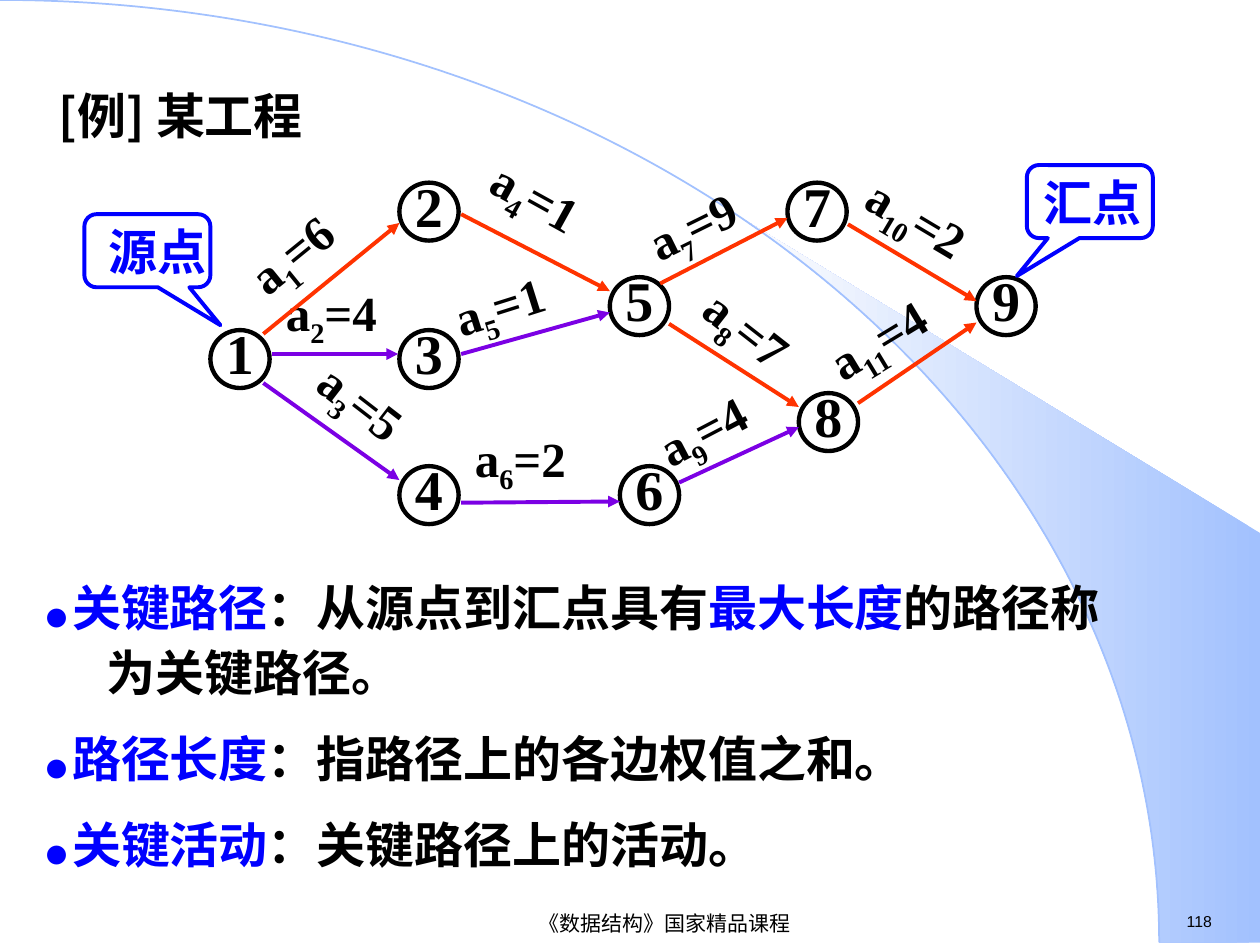
"""Build a slide on critical paths in an activity network."""
from math import asin, cos, pi, sin

from lxml.etree import SubElement
from pptx import Presentation
from pptx.dml.color import RGBColor
from pptx.enum.shapes import MSO_CONNECTOR, MSO_SHAPE
from pptx.enum.text import MSO_ANCHOR, PP_ALIGN
from pptx.oxml.ns import qn
from pptx.util import Inches, Pt

BLACK = RGBColor(0, 0, 0)
BLUE = RGBColor(0, 0, 255)
RED = RGBColor(255, 51, 0)
PURPLE = RGBColor(123, 0, 228)
PALE = RGBColor(162, 193, 254)
WHITE = RGBColor(254, 254, 254)
HAN = "Noto Sans CJK SC"
TIMES = "Times New Roman"

TITLE = "[例] 某工程"
TERMS = [
    [("关键路径", BLUE), ("：从源点到汇点具有", BLACK), ("最大长度", BLUE),
     ("的路径称为关键路径。", BLACK)],
    [("路径长度", BLUE), ("：指路径上的各边权值之和。", BLACK)],
    [("关键活动", BLUE), ("：关键路径上的活动。", BLACK)],
]
NODES = [
    ("1", 1.67, 2.62), ("2", 3.17, 1.45), ("3", 3.17, 2.62),
    ("4", 3.17, 3.7), ("5", 4.84, 2.2), ("6", 4.92, 3.7),
    ("7", 6.25, 1.45), ("8", 6.34, 3.12), ("9", 7.75, 2.2),
]
EDGES = [
    (2.09, 2.65, 3.17, 1.77, RED), (2.16, 2.81, 3.16, 2.81, PURPLE),
    (2.09, 3.04, 3.17, 3.81, PURPLE), (3.66, 1.7, 4.84, 2.31, RED),
    (3.66, 2.81, 4.84, 2.48, PURPLE), (3.66, 3.99, 4.92, 3.98, PURPLE),
    (5.24, 2.25, 6.25, 1.73, RED), (5.31, 2.57, 6.34, 3.23, RED),
    (5.39, 3.83, 6.34, 3.39, PURPLE), (6.73, 1.78, 7.75, 2.39, RED),
    (6.81, 3.2, 7.75, 2.56, RED),
]
COSTS = [
    (6, 1.84, 1.64, 1.17, -39.1), (4, 2.17, 2.19, 1.42, 0),
    (5, 2.34, 3.05, 1.42, 37.7), (1, 3.75, 1.39, 1.42, 28.9),
    (1, 3.5, 2.06, 1.42, -17.6), (2, 3.67, 3.35, 1.42, 0),
    (9, 5.02, 1.39, 1.42, -26.2), (7, 5.4, 2.47, 1.42, 38),
    (4, 5.1, 3.01, 1.42, -27.6), (2, 6.72, 1.54, 1.42, 30.9),
    (4, 6.44, 2.3, 1.42, -31.2),
]
CALLS = [("源点", 0.67, 1.7, 0.58, 0.16), ("汇点", 8.15, 1.31, -0.58, 0.04)]
WIDE, HIGH = 9.2, 7.48

deck = Presentation()
deck.slide_width, deck.slide_height = Inches(10), Inches(7.5)
slide = deck.slides.add_slide(deck.slide_layouts[6])
shapes = slide.shapes


def write(para, text, size=28, color=BLACK, font=TIMES, bold=True, base=0):
    """Add one formatted run to a paragraph."""
    run = para.add_run()
    run.text = text
    face = run.font
    face.size, face.bold, face.name = Pt(size), bold, font
    face.color.rgb = color
    SubElement(face._element, qn("a:ea")).set("typeface", HAN)
    if base:
        face._element.set("baseline", str(base * 1000))


def box(left, top, width, height, wrap=True):
    """Add a text box."""
    area = shapes.add_textbox(*map(Inches, (left, top, width, height)))
    area.text_frame.word_wrap = wrap
    return area


def ring(kind, left, top, width, height, color, weight):
    """Add an unfilled outline shape."""
    item = shapes.add_shape(kind, *map(Inches, (left, top, width, height)))
    item.shadow.inherit = False
    item.fill.background()
    item.line.color.rgb, item.line.width = color, Pt(weight)
    return item


def center(item, text, left=0, bottom=0, **style):
    """Center text inside a shape."""
    frame = item.text_frame
    frame.word_wrap = False
    frame.vertical_anchor = MSO_ANCHOR.MIDDLE
    frame.margin_left, frame.margin_bottom = Inches(left), Inches(bottom)
    frame.margin_right = frame.margin_top = 0
    para = frame.paragraphs[0]
    para.alignment = PP_ALIGN.CENTER
    write(para, text, **style)


start = asin(0.64)
turns = [start + (pi / 2 - start) * i / 24 for i in range(25)]
curve = [(WIDE * sin(t), HIGH * (1 - cos(t))) for t in turns]
path = shapes.build_freeform(*map(Inches, curve[0]), scale=1.0)
path.add_line_segments(
    [(Inches(x), Inches(y)) for x, y in curve[1:] + [(10, HIGH), (10, 4.23)]])
beam = path.convert_to_shape()
beam.shadow.inherit = False
beam.line.fill.background()
beam.fill.gradient()
beam.fill.gradient_angle = 180
for stop, spot, color in zip(beam.fill.gradient_stops, (0, 1), (PALE, WHITE)):
    stop.position, stop.color.rgb = spot, color
ring(MSO_SHAPE.ARC, -WIDE, 0, 2 * WIDE, 2 * HIGH, PALE, 1)

page = box(9.32, 7.19, 0.68, 0.25, wrap=False)
write(page.text_frame.paragraphs[0], "118", size=9, font="Arial", bold=False)
center(box(2.4, 7.21, 5.75, 0.24), "《数据结构》国家精品课程",
       size=12, font="Arial", bold=False)

head = box(0.37, 0.58, 4, 0.6).text_frame.paragraphs[0]
head.line_spacing = 1.1
write(head, TITLE, font=HAN)

body = box(0.27, 4.49, 8.73, 2.6).text_frame
for i, term in enumerate(TERMS):
    para = body.add_paragraph() if i else body.paragraphs[0]
    para.line_spacing = 1.1
    if i:
        para.space_before = Pt(12.2)
    props = para._p.get_or_add_pPr()
    props.set("marL", str(Inches(0.48)))
    props.set("indent", str(Inches(-0.48)))
    write(para, "● ", size=12, color=BLUE, font=HAN)
    for text, color in term:
        write(para, text, color=color, font=HAN)

for name, left, top in NODES:
    node = ring(MSO_SHAPE.OVAL, left, top, 0.47, 0.46, BLACK, 2.5)
    center(node, name, bottom=0.11, size=32)

for i, (cost, left, top, width, angle) in enumerate(COSTS, 1):
    label = box(left, top, width, 0.63)
    label.rotation = angle
    para = label.text_frame.paragraphs[0]
    for text, base in (("a", 0), (str(i), -25), (f"={cost}", 0)):
        write(para, text, base=base)

for *ends, color in EDGES:
    edge = shapes.add_connector(MSO_CONNECTOR.STRAIGHT, *map(Inches, ends))
    edge.line.color.rgb, edge.line.width = color, Pt(2.25)
    SubElement(edge.line._get_or_add_ln(), qn("a:tailEnd")).set("type", "triangle")
    SubElement(edge._element.spPr, qn("a:effectLst"))

for text, left, top, tip, inset in CALLS:
    call = ring(MSO_SHAPE.ROUNDED_RECTANGULAR_CALLOUT, left, top, 1, 0.58, BLUE, 2.25)
    call.adjustments[0], call.adjustments[1] = tip, 1.02
    center(call, text, left=inset, color=BLUE)

deck.save("out.pptx")
